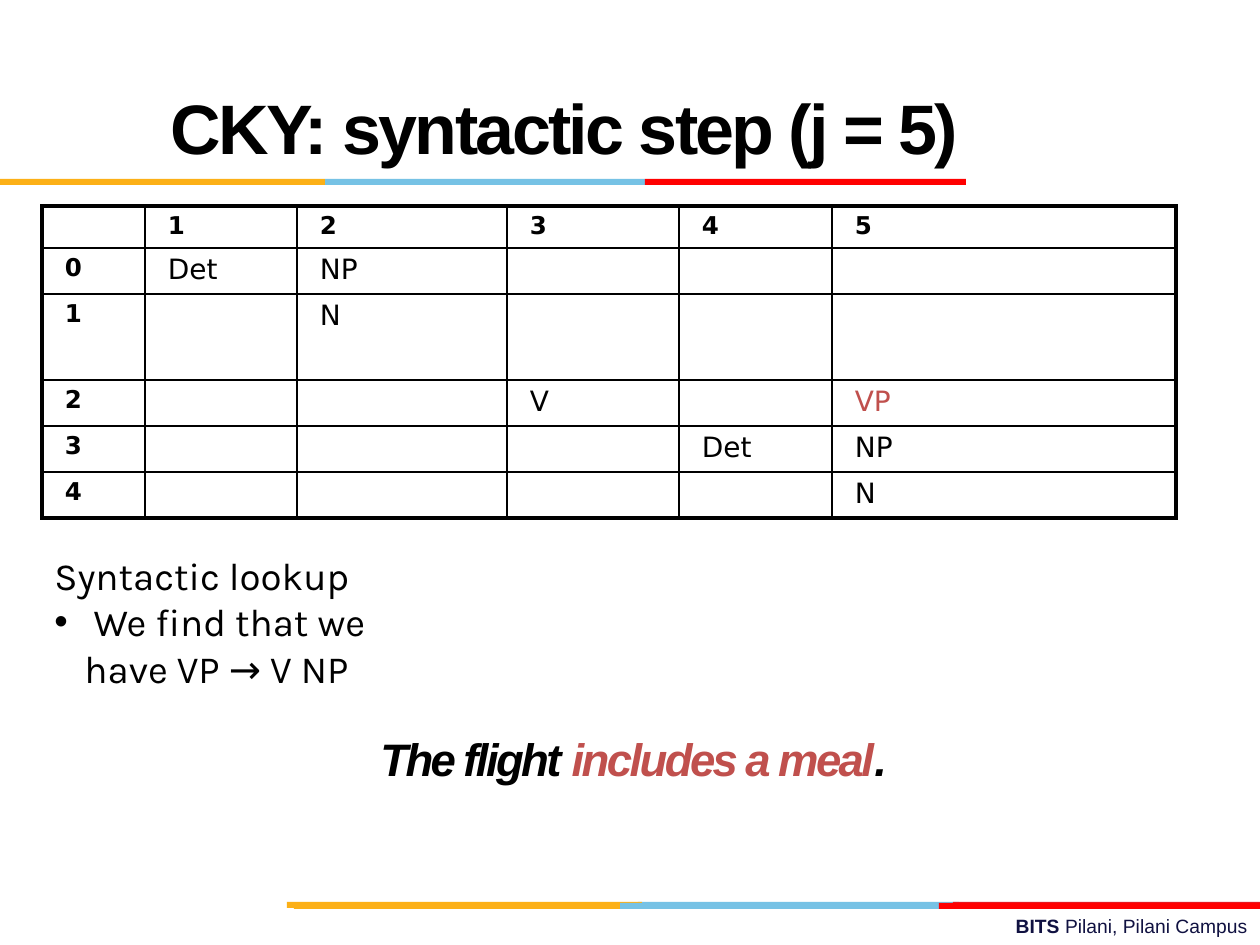
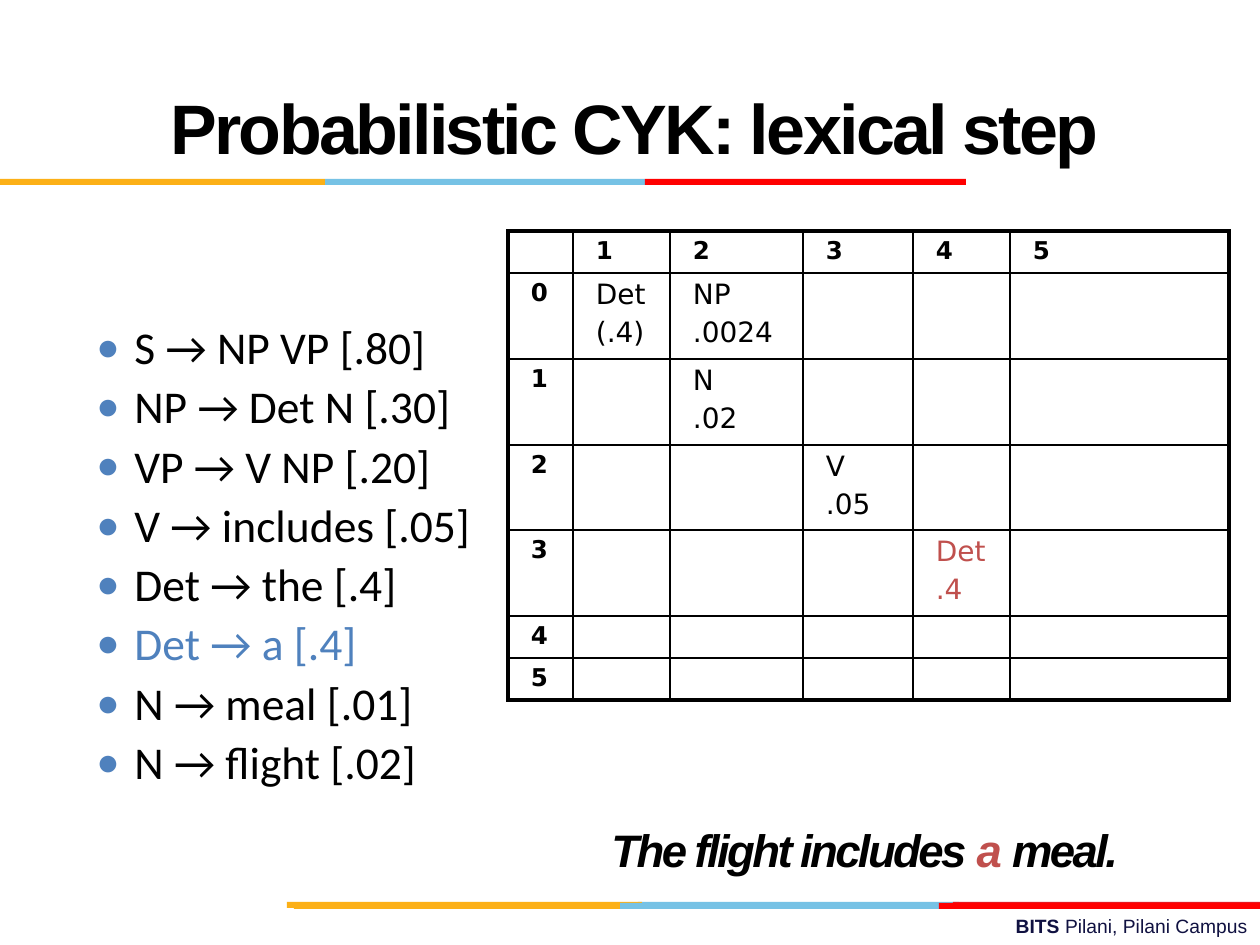
from lxml.etree import SubElement
from pptx import Presentation
from pptx.dml.color import RGBColor
from pptx.enum.shapes import MSO_SHAPE
from pptx.enum.text import MSO_ANCHOR, PP_ALIGN
from pptx.oxml.ns import qn
from pptx.util import Emu, Pt

SLIDE_WIDTH, SLIDE_HEIGHT = 1260, 945
BLACK = RGBColor(0x00, 0x00, 0x00)
NAVY = RGBColor(0x10, 0x11, 0x41)
AMBER = RGBColor(0xFC, 0xB0, 0x17)
SKY = RGBColor(0x76, 0xC2, 0xE5)
CRIMSON = RGBColor(0xE3, 0x1C, 0x24)
RED = RGBColor(0xFF, 0x00, 0x00)
BRICK = RGBColor(0xC0, 0x50, 0x4D)
BLUE = RGBColor(0x4F, 0x81, 0xBD)

TITLE_BANDS = [(325, 320, SKY), (0, 325, AMBER), (645, 321, RED)]
FOOTER_BACK_BANDS = [(638, 321, SKY), (953, 307, CRIMSON), (287, 355, AMBER)]
FOOTER_FRONT_BANDS = [(620, 321, SKY), (294, 326, AMBER), (939, 321, RED)]
THICK, THIN = Pt(2.25), Pt(1)


def px(length):
    """Turn pixels into EMU."""
    return Emu(round(length * 914400 / 126))


def set_font(font, name, size, color=BLACK, bold=False, italic=False):
    """Set the look of a font."""
    font.name, font.size = name, Pt(size)
    font.bold, font.italic = bold, italic
    font.color.rgb = color


def add_text_box(page, box, anchor=MSO_ANCHOR.TOP):
    """Add a wrapping text box and return its text frame."""
    frame = page.shapes.add_textbox(*map(px, box)).text_frame
    frame.word_wrap = True
    frame.vertical_anchor = anchor
    return frame


def add_span(para, text, color=None, spacing=None):
    """Add a run with its own colour or letter spacing."""
    span = para.add_run()
    span.text = text
    if color is not None:
        span.font.color.rgb = color
    if spacing is not None:
        span._r.get_or_add_rPr().set("spc", str(spacing))
    return span


def add_bullet(para, char, hang, color=None, percent=100):
    """Give a paragraph a hanging bullet."""
    props = para._p.get_or_add_pPr()
    props.set("marL", str(px(hang)))
    props.set("indent", str(-px(hang)))
    if color is not None:
        SubElement(SubElement(props, qn("a:buClr")), qn("a:srgbClr"), val=str(color))
    SubElement(props, qn("a:buSzPct"), val=str(percent * 1000))
    SubElement(props, qn("a:buFont"), typeface="Arial")
    SubElement(props, qn("a:buChar"), char=char)


def draw_bands(page, top, bands):
    """Draw one row of coloured bands."""
    for left, width, color in bands:
        band = page.shapes.add_shape(
            MSO_SHAPE.RECTANGLE, px(left), px(top), px(width), px(6))
        band.shadow.inherit = False
        band.fill.solid()
        band.fill.fore_color.rgb = color
        band.line.fill.background()


def draw_footer(page, box):
    """Write the campus name at the lower right."""
    para = add_text_box(page, box).paragraphs[0]
    para.alignment = PP_ALIGN.RIGHT
    set_font(para.font, "Arial", 11, NAVY)
    add_span(para, "BITS ").font.bold = True
    add_span(para, "Pilani, Pilani Campus")


def draw_title(page, box, text):
    """Write the slide title."""
    para = add_text_box(page, box, MSO_ANCHOR.MIDDLE).paragraphs[0]
    set_font(para.font, "Arial", 40, bold=True)
    add_span(para, text, spacing=-150)


def draw_sentence(page, box, before, marked, after):
    """Write the parsed sentence with the marked words in red."""
    para = add_text_box(page, box, MSO_ANCHOR.MIDDLE).paragraphs[0]
    para.line_spacing = 0.9
    set_font(para.font, "Arial", 26, bold=True, italic=True)
    for text, color in ((before, BLACK), (marked, BRICK), (after, BLACK)):
        add_span(para, text, color, -150)


def set_borders(cell, left, right, top, bottom):
    """Draw the four borders of a cell."""
    props = cell._tc.get_or_add_tcPr()
    for tag, width in zip(("lnL", "lnR", "lnT", "lnB"), (left, right, top, bottom)):
        line = SubElement(props, qn(f"a:{tag}"), w=str(width))
        fill = SubElement(line, qn("a:solidFill"))
        SubElement(fill, qn("a:srgbClr"), val=str(BLACK))


def fill_cell(cell, text, size, bold, color):
    """Write the lines of text of one cell."""
    cell.margin_left = cell.margin_right = px(23)
    cell.margin_top = cell.margin_bottom = px(6)
    cell.fill.background()
    if not text:
        SubElement(cell.text_frame.paragraphs[0]._p, qn("a:endParaRPr"), sz="1400")
        return
    cell.text = text
    for index, para in enumerate(cell.text_frame.paragraphs):
        if index:
            para.space_before = Pt(3.2)
        set_font(para.font, "DejaVu Sans", size, color, bold)


def draw_parse_table(page, left, top, widths, heights, entries, marked):
    """Draw the parse table; entries are keyed by start and end position."""
    last_row, last_column = len(heights) - 1, len(widths) - 1
    table = page.shapes.add_table(
        len(heights), len(widths), px(left), px(top),
        px(sum(widths)), px(sum(heights))).table
    table.first_row = table.horz_banding = False
    for column, width in zip(table.columns, widths):
        column.width = px(width)
    for row, height in zip(table.rows, heights):
        row.height = px(height)
    for y in range(len(heights)):
        for x in range(len(widths)):
            cell = table.cell(y, x)
            set_borders(
                cell,
                THIN if x else THICK,
                THICK if x == last_column else THIN,
                THIN if y else THICK,
                THICK if y == last_row else THIN)
            if x and y:
                span = (y - 1, x)
                color = BRICK if span == marked else BLACK
                fill_cell(cell, entries.get(span, ""), 16, False, color)
            else:
                label = str(x or y - 1) if x or y else ""
                fill_cell(cell, label, 14, True, BLACK)


def draw_lookup(page, box, heading, finding):
    """Write the lookup heading and its bulleted finding."""
    frame = add_text_box(page, box)
    first, second = frame.paragraphs[0], frame.add_paragraph()
    add_bullet(second, "•", 30)
    for para, text in ((first, heading), (second, finding)):
        set_font(para.font, "Karla", 22)
        add_span(para, text)


def draw_rules(page, box, rules, marked):
    """List the grammar rules, the marked one in blue."""
    frame = add_text_box(page, box)
    for index, rule in enumerate(rules):
        para = frame.add_paragraph() if index else frame.paragraphs[0]
        para.line_spacing = 0.9
        if index:
            para.space_before = Pt(5.8)
        add_bullet(para, "●", 38, BLUE, 85)
        set_font(para.font, "Calibri", 26, BLUE if rule == marked else BLACK)
        add_span(para, rule)


def add_page(deck, title):
    """Add a slide with the shared footer, bands and title."""
    page = deck.slides.add_slide(deck.slide_layouts[6])
    draw_footer(page, (451, 908, 809, 37))
    draw_bands(page, 902, FOOTER_BACK_BANDS)
    draw_bands(page, 903, FOOTER_FRONT_BANDS)
    draw_bands(page, 179, TITLE_BANDS)
    draw_title(page, (158, 42, 1102, 168), title)
    return page


def build_syntactic_step(deck):
    """Build the slide on the syntactic step."""
    page = add_page(deck, "CKY: syntactic step (j = 5)")
    entries = {(0, 1): "Det", (0, 2): "NP", (1, 2): "N", (2, 3): "V",
               (2, 5): "VP", (3, 4): "Det", (3, 5): "NP", (4, 5): "N"}
    draw_parse_table(page, 42, 206, [103, 152, 210, 172, 153, 344],
                     [42, 46, 86, 46, 46, 46], entries, (2, 5))
    draw_sentence(page, (368, 683, 872, 158), "The flight ", "includes a meal", ".")
    draw_lookup(page, (42, 546, 410, 160), "Syntactic lookup",
                " We find that we have VP → V NP")


def build_lexical_step(deck):
    """Build the slide on the probabilistic lexical step."""
    page = add_page(deck, "Probabilistic CYK: lexical step")
    entries = {(0, 1): "Det\n(.4)", (0, 2): "NP\n.0024", (1, 2): "N\n.02",
               (2, 3): "V\n.05", (3, 4): "Det\n.4"}
    draw_parse_table(page, 508, 231, [65, 97, 133, 110, 97, 219],
                     [42, 86, 86, 85, 86, 42, 42], entries, (3, 4))
    draw_sentence(page, (599, 813, 608, 80), "The flight includes ", "a", " meal.")
    rules = ["S → NP VP [.80]", "NP → Det N [.30]", "VP → V NP [.20]",
             "V → includes [.05]", "Det → the [.4]", "Det → a [.4]",
             "N → meal [.01]", "N → flight [.02]"]
    draw_rules(page, (84, 319, 410, 490), rules, "Det → a [.4]")


def main():
    """Build and save the deck."""
    deck = Presentation()
    deck.slide_width, deck.slide_height = px(SLIDE_WIDTH), px(SLIDE_HEIGHT)
    build_syntactic_step(deck)
    build_lexical_step(deck)
    deck.save("out.pptx")


if __name__ == "__main__":
    main()
